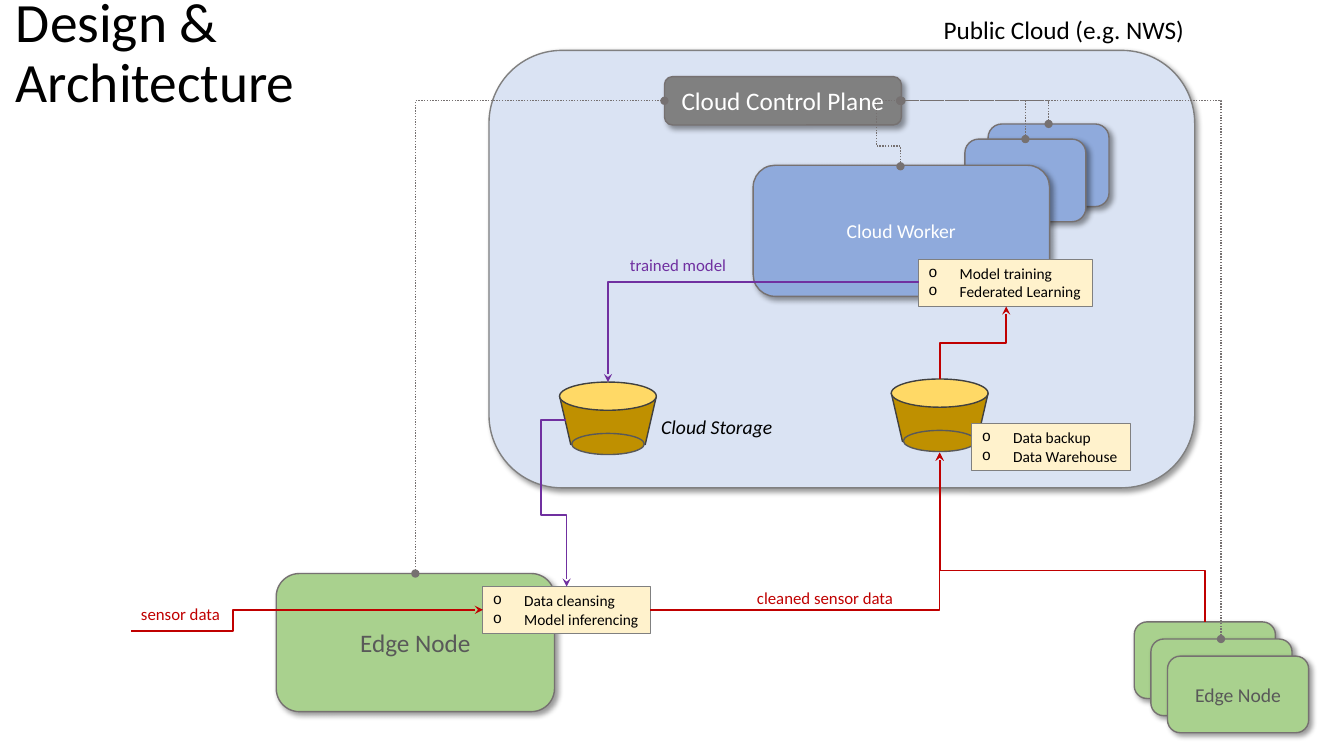
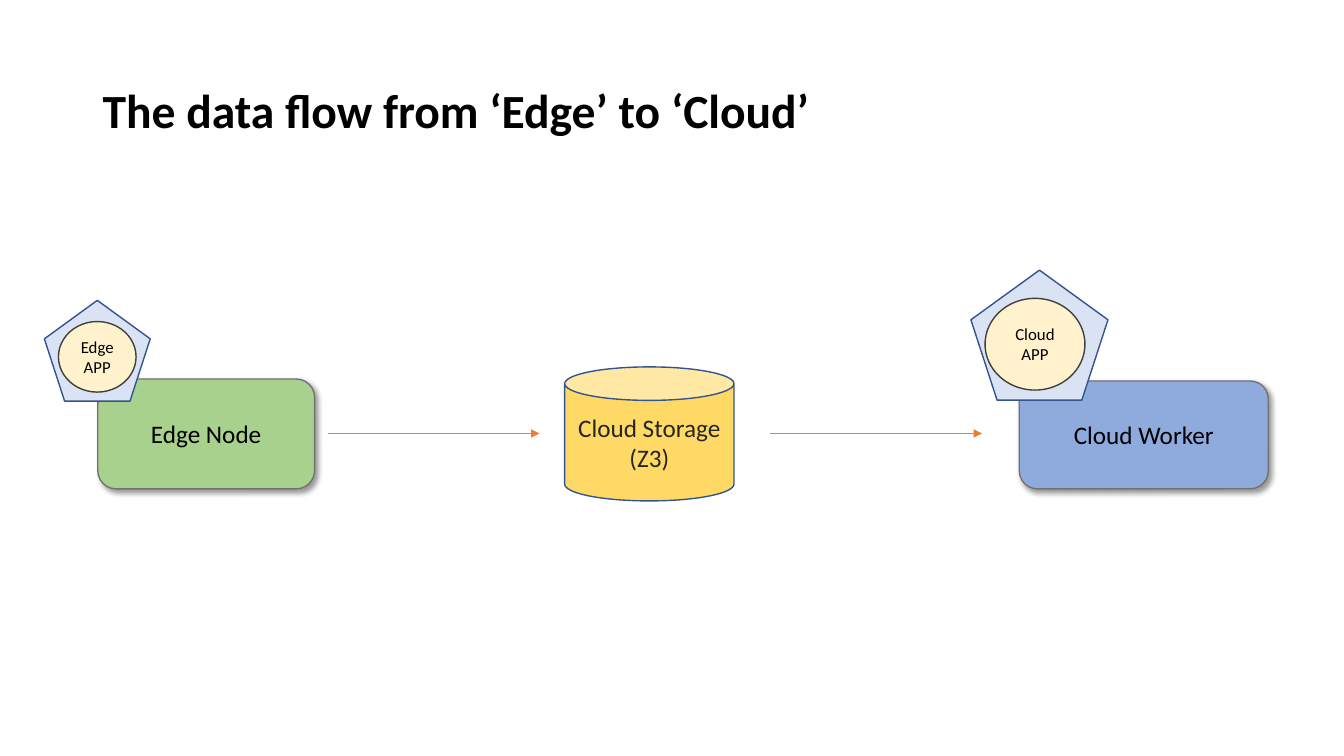
import dataclasses

import pptx
import pptx.dml.color
import pptx.enum.dml
import pptx.enum.shapes
import pptx.enum.text
import pptx.oxml
import pptx.oxml.ns
import pptx.util
from lxml import etree

Inches = pptx.util.Inches
Kind = pptx.enum.shapes.MSO_SHAPE
Link = pptx.enum.shapes.MSO_CONNECTOR
Align = pptx.enum.text.PP_ALIGN
Anchor = pptx.enum.text.MSO_ANCHOR
qn = pptx.oxml.ns.qn


@dataclasses.dataclass(frozen=True)
class Theme:
    font: str = "Calibri"
    black: str = "000000"
    white: str = "FFFFFF"
    dark: str = "262626"
    muted: str = "595959"
    outline: str = "767171"
    gray: str = "808080"
    charcoal: str = "404040"
    sky: str = "DAE3F3"
    blue: str = "8FAADC"
    navy: str = "325491"
    accent: str = "4472C4"
    green: str = "A9D18E"
    gold: str = "FFD966"
    bronze: str = "BF9000"
    cream: str = "FFF2CC"
    red: str = "C00000"
    purple: str = "7030A0"
    orange: str = "ED7D31"
    title: float = 39.6
    heading: float = 34
    large: float = 18
    medium: float = 14
    small: float = 12
    note: float = 11
    inset: float = 0.05


THEME = Theme()


@dataclasses.dataclass(frozen=True)
class Box:
    left: float
    top: float
    width: float
    height: float

    def inner(self, left, top, width, height):
        return Box(self.left + left, self.top + top, width, height)

    def lengths(self):
        return [Inches(value) for value in dataclasses.astuple(self)]


def rgb(value):
    return pptx.dml.color.RGBColor.from_string(value)


def apply_format(target, values):
    for name, value in values.items():
        setattr(target, name, value)


def write(shape, lines, size, color, align=Align.CENTER, anchor=Anchor.MIDDLE,
          wrap=True, spacing=1.0, **font):
    frame = shape.text_frame
    apply_format(frame, {"word_wrap": wrap, "vertical_anchor": anchor})
    for index, line in enumerate(lines):
        para = frame.paragraphs[0] if index == 0 else frame.add_paragraph()
        apply_format(para, {"alignment": align, "line_spacing": spacing})
        span = para.add_run()
        span.text = line
        apply_format(span.font, {"name": THEME.font, "size": pptx.util.Pt(size), **font})
        span.font.color.rgb = rgb(color)
    return frame


def add_shadow(shape):
    effects = shape._element.spPr.find(qn("a:effectLst"))
    shadow = etree.SubElement(effects, qn("a:outerShdw"), blurRad="50800", dist="38100",
                              dir="2700000", algn="tl", rotWithShape="0")
    color = etree.SubElement(shadow, qn("a:srgbClr"), val=THEME.black)
    etree.SubElement(color, qn("a:alpha"), val="40000")


def draw(shapes, kind, box, fill, line=THEME.outline, weight=1):
    shape = shapes.add_shape(kind, *box.lengths())
    shape.shadow.inherit = False
    shape.fill.solid()
    shape.fill.fore_color.rgb = rgb(fill)
    shape.line.color.rgb = rgb(line)
    shape.line.width = pptx.util.Pt(weight)
    return shape


def panel(page, box, fill, label="", size=THEME.large, color=THEME.black,
          line=THEME.outline):
    shape = draw(page.shapes, Kind.ROUNDED_RECTANGLE, box, fill, line)
    add_shadow(shape)
    if label:
        write(shape, [label], size, color)


def caption(page, box, text, size, color=THEME.black, **style):
    shape = page.shapes.add_textbox(*box.lengths())
    settings = {"align": Align.LEFT, "anchor": Anchor.TOP, "wrap": False, **style}
    write(shape, [text], size, color, **settings)


def title(page, box, text, size, **font):
    caption(page, box, text, size, anchor=Anchor.MIDDLE, wrap=True, spacing=0.9, **font)


def note(page, box, lines):
    shape = draw(page.shapes, Kind.RECTANGLE, box, THEME.cream, THEME.gray, 0.75)
    frame = write(shape, lines, THEME.note, THEME.black, Align.LEFT, Anchor.TOP, False)
    indent = Inches(0.31)
    for para in frame.paragraphs:
        properties = para._p.get_or_add_pPr()
        properties.set("marL", str(indent))
        properties.set("indent", str(-indent))
        etree.SubElement(properties, qn("a:buFont"), typeface="Courier New")
        etree.SubElement(properties, qn("a:buChar"), char="o")


def connect(shapes, kind, start, end, color, weight=1, head=None, tail=None, dash=None):
    line = shapes.add_connector(kind, *[Inches(value) for value in (*start, *end)])
    line.line.color.rgb = rgb(color)
    line.line.width = pptx.util.Pt(weight)
    if dash:
        line.line.dash_style = dash
    stroke = line.line._get_or_add_ln()
    for tag, style in (("a:headEnd", head), ("a:tailEnd", tail)):
        if style:
            etree.SubElement(stroke, qn(tag), type=style)
    etree.SubElement(line._element.spPr, qn("a:effectLst"))
    return line


def elbow(page, points, **style):
    start, end = points[0], points[-1]
    delta = [end[axis] - start[axis] for axis in (0, 1)]
    first = 0 if points[1][1] == start[1] else 1
    run, rise = (delta[0], delta[1]) if first == 0 else (delta[1], -delta[0])
    width, height = abs(run), abs(rise)
    left = (start[0] + end[0] - width) / 2
    top = (start[1] + end[1] - height) / 2
    line = connect(page.shapes, Link.ELBOW, (left, top), (left + width, top + height), **style)

    turn, flip_h, flip_v = 90 * first, run < 0, rise < 0
    if flip_h and not flip_v:
        turn, flip_h, flip_v = turn + 180, False, True
    frame = line._element.spPr.find(qn("a:xfrm"))
    for name, value in (("rot", turn * 60000), ("flipH", int(flip_h)), ("flipV", int(flip_v))):
        if value:
            frame.set(name, str(value))

    geometry = line._element.spPr.find(qn("a:prstGeom"))
    geometry.set("prst", f"bentConnector{len(points) - 1}")
    guides = geometry.find(qn("a:avLst"))
    if guides is None:
        guides = etree.SubElement(geometry, qn("a:avLst"))
    for index, point in enumerate(points[1:-2]):
        axis = (first + index) % 2
        share = round((point[axis] - start[axis]) / delta[axis] * 100000)
        etree.SubElement(guides, qn("a:gd"), name=f"adj{index + 1}", fmla=f"val {share}")


def bucket(page, box):
    shapes = page.shapes.add_group_shape().shapes
    body = box.inner(0, 0.14, box.width, 0.48)
    slant = 0.12
    right = body.left + body.width
    bottom = body.top + body.height
    for edge, foot in ((body.left, body.left + slant), (right, right - slant)):
        connect(shapes, Link.STRAIGHT, (edge, body.top), (foot, bottom), THEME.accent, 0.5)
    side = draw(shapes, Kind.TRAPEZOID, body, THEME.bronze, THEME.charcoal)
    side.rotation = 180
    side.adjustments[0] = 0.23
    draw(shapes, Kind.OVAL, box.inner(0, 0, box.width, 0.28), THEME.gold, THEME.charcoal)
    draw(shapes, Kind.OVAL, box.inner(slant, 0.51, box.width - 2 * slant, 0.21),
         THEME.bronze, THEME.muted)


def cloud_region(page, box):
    panel(page, box, THEME.sky, line=THEME.gray)
    panel(page, box.inner(1.74, 0.26, 2.35, 0.48), THEME.gray,
          "Cloud Control Plane", color=THEME.white)
    for left, top in ((3.99, 3.26), (0.7, 3.29)):
        bucket(page, box.inner(left, top, 0.96, 0.72))
    caption(page, box.inner(4.41, -0.41, 2.59, 0.4), "Public Cloud (e.g. NWS)", THEME.large)
    for left, top in ((4.95, 0.73), (4.72, 0.88)):
        panel(page, box.inner(left, top, 1.2, 0.82), THEME.blue)
    panel(page, box.inner(2.62, 1.14, 2.94, 1.3), THEME.blue,
          "Cloud Worker", THEME.medium, THEME.white)
    caption(page, box.inner(1.61, 3.57, 1.31, 0.34), "Cloud Storage", THEME.medium, italic=True)
    note(page, box.inner(4.79, 3.7, 1.57, 0.47), ["Data backup", "Data Warehouse"])
    note(page, box.inner(4.26, 2.07, 1.73, 0.47), ["Model training", "Federated Learning"])
    caption(page, box.inner(1.3, 1.98, 1.16, 0.3), "trained model", THEME.small, THEME.purple)


def edge_region(page, box):
    panel(page, box, THEME.green, "Edge Node", color=THEME.muted)
    note(page, box.inner(2.05, 0.13, 1.66, 0.47), ["Data cleansing", "Model inferencing"])
    caption(page, box.inner(-1.44, 0.25, 0.99, 0.3), "sensor data", THEME.small, THEME.red)
    caption(page, box.inner(4.67, 0.09, 1.57, 0.3), "cleaned sensor data",
            THEME.small, THEME.red)


def edge_stack(page, box):
    width, height = 1.4, 0.76
    labels = ("", "", "Edge Node")
    steps = len(labels) - 1
    for index, label in enumerate(labels):
        spot = box.inner(index * (box.width - width) / steps,
                         index * (box.height - height) / steps, width, height)
        panel(page, spot, THEME.green, label, THEME.medium, THEME.muted)


def architecture_links(page):
    control_left, control_right = (6.59, 1), (8.93, 1)
    storage = (9.32, 4.49)
    data = {"color": THEME.red, "weight": 1.25, "tail": "stealth"}
    model = {**data, "color": THEME.purple}
    control = {"color": THEME.outline, "head": "oval", "tail": "oval",
               "dash": pptx.enum.dml.MSO_LINE.ROUND_DOT}
    routes = (
        (data, [
            [(6.45, 6.05), (9.32, 6.05), storage],
            [(9.32, 3.76), (9.32, 3.4), (9.98, 3.4), (9.98, 3.04)],
            [(11.95, 6.17), (11.95, 5.66), (9.32, 5.66), storage],
            [(1.3, 6.26), (2.31, 6.26), (2.31, 6.05), (4.79, 6.05)],
        ]),
        (model, [
            [(9.11, 2.8), (6.03, 2.8), (6.03, 3.79)],
            [(5.61, 4.17), (5.36, 4.17), (5.36, 5.11), (5.62, 5.11), (5.62, 5.82)],
        ]),
        (control, [
            [(4.12, 5.69), (4.12, 1), control_left],
            [(12.11, 6.34), (12.11, 1), control_right],
            [(8.93, 1.65), (8.93, 1.45), (8.69, 1.45), (8.69, 1), (8.94, 1)],
            [(10.17, 1.38), (10.17, 1), control_right],
            [(10.4, 1.23), (10.4, 1), control_right],
        ]),
    )
    for style, paths in routes:
        for points in paths:
            elbow(page, points, **style)


def architecture_slide(page):
    cloud_region(page, Box(4.85, 0.5, 7, 4.34))
    edge_region(page, Box(2.74, 5.69, 2.76, 1.37))
    edge_stack(page, Box(11.25, 6.17, 1.73, 1.1))
    architecture_links(page)
    title(page, Box(0.06, 0.09, 3.53, 0.9), "Design & Architecture", THEME.title)


def app_badge(page, box, circle, label):
    draw(page.shapes, Kind.REGULAR_PENTAGON, box, THEME.sky, THEME.navy)
    disc = draw(page.shapes, Kind.OVAL, circle, THEME.cream, THEME.charcoal)
    frame = write(disc, [label], THEME.small, THEME.black)
    sides = ("left", "right", "top", "bottom")
    apply_format(frame, {f"margin_{side}": Inches(THEME.inset) for side in sides})


def data_flow_slide(page):
    title(page, Box(0.92, 0.4, 11.5, 1.45), "The data flow from ‘Edge’ to ‘Cloud’",
          THEME.heading, bold=True)
    storage = draw(page.shapes, Kind.CAN, Box(5.6, 3.64, 1.68, 1.33), THEME.gold, THEME.navy)
    write(storage, ["Cloud Storage", "(Z3)"], THEME.large, THEME.dark)
    for left in (3.25, 7.64):
        connect(page.shapes, Link.STRAIGHT, (left, 4.3), (left + 2.1, 4.3),
                THEME.orange, tail="triangle")
    edge = Box(0.97, 3.76, 2.15, 1.09)
    worker = Box(10.11, 3.78, 2.47, 1.07)
    panel(page, edge, THEME.green, "Edge Node")
    panel(page, worker, THEME.blue, "Cloud Worker")
    app_badge(page, edge.inner(-0.53, -0.78, 1.05, 1),
              edge.inner(-0.39, -0.57, 0.77, 0.7), "Edge APP")
    app_badge(page, worker.inner(-0.48, -1.1, 1.36, 1.29),
              worker.inner(-0.34, -0.82, 0.99, 0.91), "Cloud APP")


def main():
    deck = pptx.Presentation()
    apply_format(deck, {"slide_width": Inches(13.33), "slide_height": Inches(7.5)})
    for build in (architecture_slide, data_flow_slide):
        build(deck.slides.add_slide(deck.slide_layouts[6]))
    deck.save("out.pptx")


if __name__ == "__main__":
    main()
